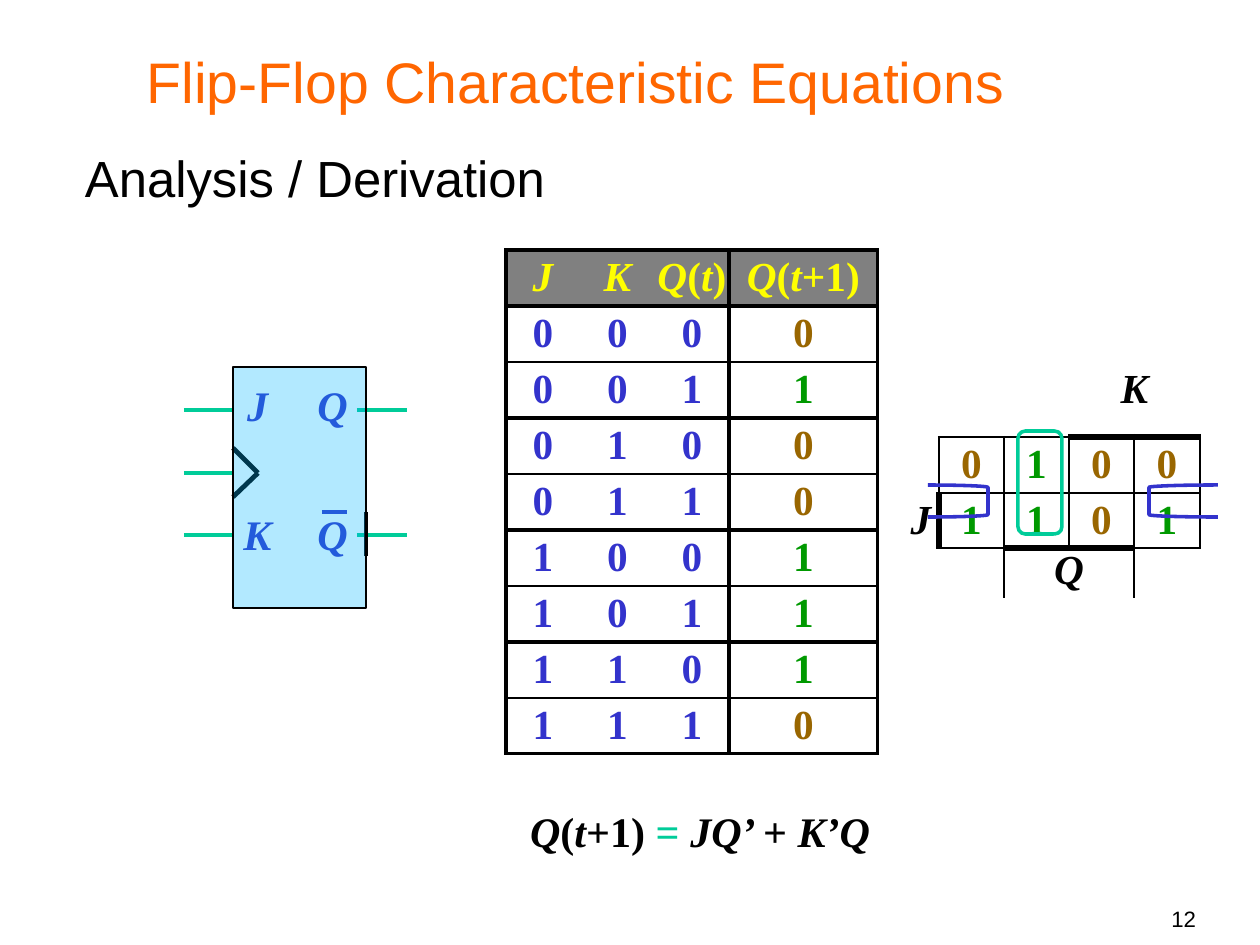
from collections import defaultdict
from dataclasses import dataclass

from lxml.etree import SubElement
from pptx import Presentation
from pptx.dml.color import RGBColor
from pptx.enum.shapes import MSO_CONNECTOR, MSO_SHAPE
from pptx.enum.text import MSO_ANCHOR, PP_ALIGN
from pptx.oxml import parse_xml
from pptx.oxml.ns import nsdecls, qn
from pptx.util import Pt

SCALE = 8000  # EMU per pixel


@dataclass(frozen=True)
class Theme:
    sans: str = "Arial"
    serif: str = "Times New Roman"
    title: float = 36
    body: float = 32
    symbol: float = 26.5
    cell: float = 26
    number: float = 14
    black: str = "000000"
    orange: str = "FF6600"
    blue: str = "3333CC"
    teal: str = "00CC99"
    yellow: str = "FFFF00"
    header: str = "808080"
    chip: str = "00B8FF"
    zero: str = "996600"
    one: str = "009900"


THEME = Theme()
RESULT = {"0": THEME.zero, "1": THEME.one}
NO_GRID = "{2D5ABB26-0587-4C30-8999-92F81FD0307C}"

# Content: a run is (text, italic) or (text, italic, colour)
TITLE = "Flip-Flop Characteristic Equations"
SUBTITLE = "Analysis / Derivation"
NUMBER = "12"
Q_NOW = [("Q", True), ("(", False), ("t", True), (")", False)]
Q_NEXT = Q_NOW[:3] + [("+1)", False)]
EQUATION = Q_NEXT + [(" ", False), ("= ", False, THEME.teal), ("JQ’ ", True),
                     ("+", False), (" K’Q", True)]
HEADINGS = [[("J", True)], [("K", True)], Q_NOW, Q_NEXT]
NEXT_STATES = "01001110"  # for J K Q(t) counting up from 000
MAP_VALUES = ["0100", "1101"]
# Label cells: first row, first column, last row, last column, anchor
MAP_LABELS = {"K": (0, 4, 1, 5, MSO_ANCHOR.TOP), "J": (3, 0, 3, 1, MSO_ANCHOR.MIDDLE),
              "Q": (4, 3, 5, 4, MSO_ANCHOR.TOP)}
MAP_BLANKS = [(0, 0, 1, 1), (0, 2, 1, 2), (4, 0, 5, 1)]
# Grid rules: line index, first cell, end cell, weight
MAP_ACROSS = [(2, 2, 4, 1.5), (2, 4, 6, 4.5), (3, 2, 6, 1),
              (4, 2, 3, 1.5), (4, 3, 5, 4.5), (4, 5, 6, 1.5)]
MAP_DOWN = [(2, 2, 3, 1.5), (2, 3, 4, 4.5), (3, 2, 5, 1), (4, 2, 4, 1),
            (5, 2, 5, 1), (6, 2, 4, 1.5)]
CHIP = (233, 367, 133, 241)
CHIP_LABELS = [("J", 233, 385), ("Q", 308, 385), ("K", 233, 514), ("Q", 308, 514)]
WIRES = ([(184, y, 233, y, THEME.teal) for y in (410, 473, 535)]
         + [(357, y, 407, y, THEME.teal) for y in (410, 535)]
         + [(233, 448, 258, 473, THEME.black), (258, 473, 233, 497, THEME.black),
            (322, 512, 347, 512, THEME.blue), (366, 512, 366, 556, THEME.black)])
GROUPS = [(MSO_SHAPE.ROUNDED_RECTANGLE, (1018, 431, 44, 103), 0.167, THEME.teal),
          (MSO_SHAPE.RIGHT_BRACKET, (928, 485, 60, 32), 0.074, THEME.blue),
          (MSO_SHAPE.LEFT_BRACKET, (1149, 485, 69, 32), 0.074, THEME.blue)]


def px(*lengths):
    return [length * SCALE for length in lengths]


def rgb(colour):
    return RGBColor.from_string(colour)


def write(item, runs, size, colour, face=THEME.serif, align=PP_ALIGN.CENTER, spacing=None):
    """Fill a text frame or a table cell, without margins."""
    item.margin_left = item.margin_right = item.margin_top = item.margin_bottom = 0
    para = getattr(item, "text_frame", item).paragraphs[0]
    para.alignment, para.line_spacing = align, spacing
    font = para.font
    font.name, font.size, font.bold = face, Pt(size), face == THEME.serif
    font.color.rgb = rgb(colour)
    for text, italic, *tint in runs:
        span = para.add_run()
        span.text, span.font.italic = text, italic
        if tint:
            span.font.color.rgb = rgb(tint[0])


def add_text(place, runs, size, colour, *style):
    box = slide.shapes.add_textbox(*px(*place))
    box.text_frame.word_wrap = True
    write(box.text_frame, runs, size, colour, *style)


def add_outline(kind, place, colour, weight):
    shape = slide.shapes.add_shape(kind, *px(*place))
    shape.shadow.inherit = False
    shape.fill.background()
    shape.line.color.rgb, shape.line.width = rgb(colour), Pt(weight)
    return shape


def add_grid(left, top, widths, heights):
    grid = slide.shapes.add_table(len(heights), len(widths),
                                  *px(left, top, sum(widths), sum(heights))).table
    grid.first_row = grid.horz_banding = False
    grid._tbl.tblPr.find(qn("a:tableStyleId")).text = NO_GRID
    for column, width in zip(grid.columns, widths):
        column.width = width * SCALE
    for row, height in zip(grid.rows, heights):
        row.height = height * SCALE
    return grid


def fill_cell(cell, runs, colour, anchor=MSO_ANCHOR.MIDDLE):
    cell.vertical_anchor = anchor
    write(cell, runs, THEME.cell, colour)


def rule_grid(grid, across, down):
    edges = defaultdict(dict)
    for line, first, end, weight in across:
        for column in range(first, end):
            edges[line - 1, column]["B"] = edges[line, column]["T"] = weight
    for line, first, end, weight in down:
        for row in range(first, end):
            edges[row, line - 1]["R"] = edges[row, line]["L"] = weight
    ink = f'<a:solidFill><a:srgbClr val="{THEME.black}"/></a:solidFill>'
    for row in range(len(grid.rows)):
        for column in range(len(grid.columns)):
            props = grid.cell(row, column)._tc.get_or_add_tcPr()
            for index, side in enumerate("LRTB"):
                weight = edges[row, column].get(side, 0)
                props.insert(index, parse_xml(
                    f'<a:ln{side} {nsdecls("a")} w="{Pt(weight)}">'
                    f'{ink if weight else "<a:noFill/>"}</a:ln{side}>'))


deck = Presentation()
deck.slide_width, deck.slide_height = px(1260, 945)
slide = deck.slides.add_slide(deck.slide_layouts[5])

# Title, subtitle and slide number
title = slide.shapes.title
title.left, title.top, title.width, title.height = px(63, 38, 1025, 92)
title.text_frame.vertical_anchor = MSO_ANCHOR.MIDDLE
write(title.text_frame, [(TITLE, False)], THEME.title, THEME.orange, THEME.sans,
      PP_ALIGN.CENTER, 0.93)
add_text((85, 152, 1141, 63), [(SUBTITLE, False)], THEME.body, THEME.black,
         THEME.sans, PP_ALIGN.LEFT, 0.93)
add_text((903, 905, 293, 36), [(NUMBER, False)], THEME.number, THEME.black,
         THEME.sans, PP_ALIGN.RIGHT)

# Flip-flop symbol
for name, left, top in CHIP_LABELS:
    add_text((left, top, 49, 46), [(name, True)], THEME.symbol, THEME.blue,
             THEME.serif, PP_ALIGN.CENTER, 0.9)
for *ends, colour in WIRES:
    wire = slide.shapes.add_connector(MSO_CONNECTOR.STRAIGHT, *px(*ends))
    wire.line.color.rgb, wire.line.width = rgb(colour), Pt(3)
    SubElement(wire._element.spPr, qn("a:effectLst"))

# Truth table
truth = add_grid(506, 250, [74, 75, 74, 149], [56] * 9)
for column, runs in enumerate(HEADINGS):
    cell = truth.cell(0, column)
    fill_cell(cell, runs, THEME.yellow)
    cell.fill.solid()
    cell.fill.fore_color.rgb = rgb(THEME.header)
for state, result in enumerate(NEXT_STATES):
    for column, digit in enumerate(f"{state:03b}{result}"):
        colour = RESULT[digit] if column == 3 else THEME.blue
        fill_cell(truth.cell(state + 1, column), [(digit, False)], colour)
rule_grid(truth,
          [(line, 0, 4, 2.25 if line in (0, 9) else 3 if line % 2 else 1)
           for line in range(10)],
          [(0, 0, 9, 2.25), (3, 0, 9, 3), (4, 0, 9, 2.25)])

# Karnaugh map
karnaugh = add_grid(903, 367, [18, 18, 65, 65, 65, 66], [20, 50, 56, 55, 23, 27])
for top, left, bottom, right, *_ in [*MAP_LABELS.values(), *MAP_BLANKS]:
    karnaugh.cell(top, left).merge(karnaugh.cell(bottom, right))
for name, (top, left, *_, anchor) in MAP_LABELS.items():
    fill_cell(karnaugh.cell(top, left), [(name, True)], THEME.black, anchor)
for row, digits in enumerate(MAP_VALUES, 2):
    for column, digit in enumerate(digits, 2):
        fill_cell(karnaugh.cell(row, column), [(digit, False)], RESULT[digit])
for cell in karnaugh.iter_cells():
    if not cell.text:  # keep empty cells from stretching their rows
        write(cell, [], 1, THEME.black)
        SubElement(cell.text_frame.paragraphs[0]._p, qn("a:endParaRPr"), sz="100")
rule_grid(karnaugh, MAP_ACROSS, MAP_DOWN)
for kind, place, rounding, colour in GROUPS:
    add_outline(kind, place, colour, 2.25).adjustments[0] = rounding

# Equation
add_text((530, 795, 347, 60), EQUATION, THEME.symbol, THEME.black,
         THEME.serif, PP_ALIGN.LEFT, 1.2)

# Translucent flip-flop body
body = add_outline(MSO_SHAPE.RECTANGLE, CHIP, THEME.black, 0.75)
body.fill.solid()
body.fill.fore_color.rgb = rgb(THEME.chip)
tint = body._element.spPr.find(qn("a:solidFill")).find(qn("a:srgbClr"))
SubElement(tint, qn("a:alpha"), val="30000")

deck.save("out.pptx")
